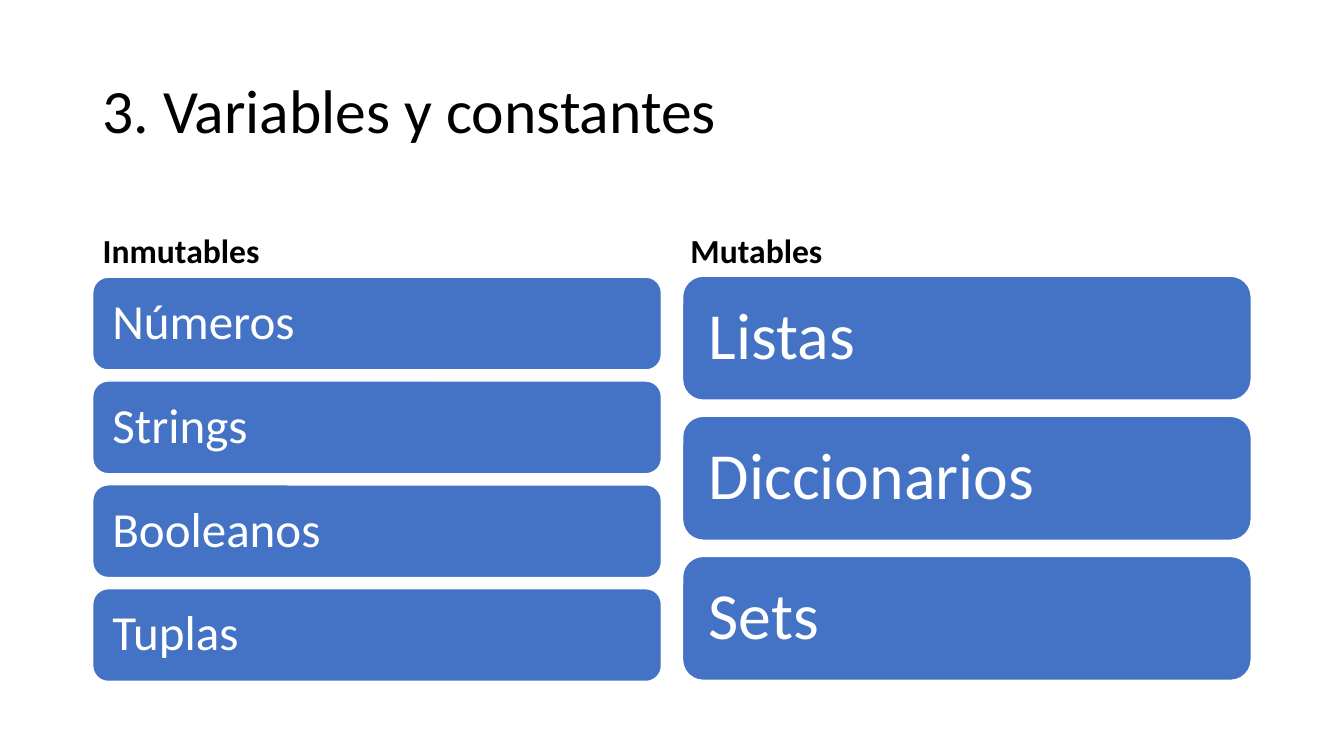
import pptx
import pptx.dml.color
import pptx.enum.shapes
import pptx.enum.text
import pptx.util

PX = 9144  # EMU per px, 100 px to the inch
FONT = "Calibri"
BLACK, WHITE, BLUE = "000000", "FFFFFF", "4472C4"
ANCHOR = pptx.enum.text.MSO_ANCHOR


def px(length):
    return pptx.util.Emu(round(length * PX))


def color(hex_string):
    return pptx.dml.color.RGBColor.from_string(hex_string)


def write(shape, text, size, fill=BLACK, bold=False, anchor=ANCHOR.MIDDLE,
          inset_x=10, inset_y=5):
    """Put one left-aligned paragraph into a shape."""
    frame = shape.text_frame
    frame.word_wrap = True
    frame.vertical_anchor = anchor
    frame.margin_left = frame.margin_right = px(inset_x)
    frame.margin_top = frame.margin_bottom = px(inset_y)
    paragraph = frame.paragraphs[0]
    paragraph.alignment = pptx.enum.text.PP_ALIGN.LEFT
    paragraph.line_spacing = 0.9
    run = paragraph.add_run()
    run.text = text
    run.font.name = FONT
    run.font.size = pptx.util.Pt(size)
    run.font.bold = bold
    run.font.color.rgb = color(fill)


def add_text(slide, box, text, size, **text_format):
    shape = slide.shapes.add_textbox(*map(px, box))
    write(shape, text, size, **text_format)


def add_card(slide, box, text, size, inset):
    card = slide.shapes.add_shape(
        pptx.enum.shapes.MSO_SHAPE.ROUNDED_RECTANGLE, *map(px, box))
    card.shadow.inherit = False
    card.fill.solid()
    card.fill.fore_color.rgb = color(BLUE)
    card.line.color.rgb = color(WHITE)
    card.line.width = pptx.util.Pt(1)
    write(card, text, size, fill=WHITE, inset_x=inset, inset_y=inset)


def add_card_list(slide, box, names, card_height, size, inset):
    """Spread equal cards from the top to the bottom of the box."""
    left, top, width, height = box
    pitch = (height - card_height) / (len(names) - 1)
    for index, name in enumerate(names):
        card_box = (left, top + index * pitch, width, card_height)
        add_card(slide, card_box, name, size, inset)


def build_slide(presentation):
    slide = presentation.slides.add_slide(presentation.slide_layouts[6])

    # Title
    add_text(slide, (92, 40, 1150, 145), "3. Variables y constantes", 44)

    # Immutable types
    add_text(slide, (92, 184, 564, 90), "Inmutables", 24,
             bold=True, anchor=ANCHOR.BOTTOM)
    add_card_list(slide, (92, 275, 564, 401),
                  ["Números", "Strings", "Booleanos", "Tuplas"],
                  card_height=92, size=35, inset=15)

    # Mutable types
    add_text(slide, (675, 184, 567, 90), "Mutables", 24,
             bold=True, anchor=ANCHOR.BOTTOM)
    add_card_list(slide, (677, 274, 564, 401),
                  ["Listas", "Diccionarios", "Sets"],
                  card_height=123, size=47, inset=20)


def main():
    presentation = pptx.Presentation()
    presentation.slide_width = px(1333)
    presentation.slide_height = px(750)
    build_slide(presentation)
    presentation.save("out.pptx")


if __name__ == "__main__":
    main()
